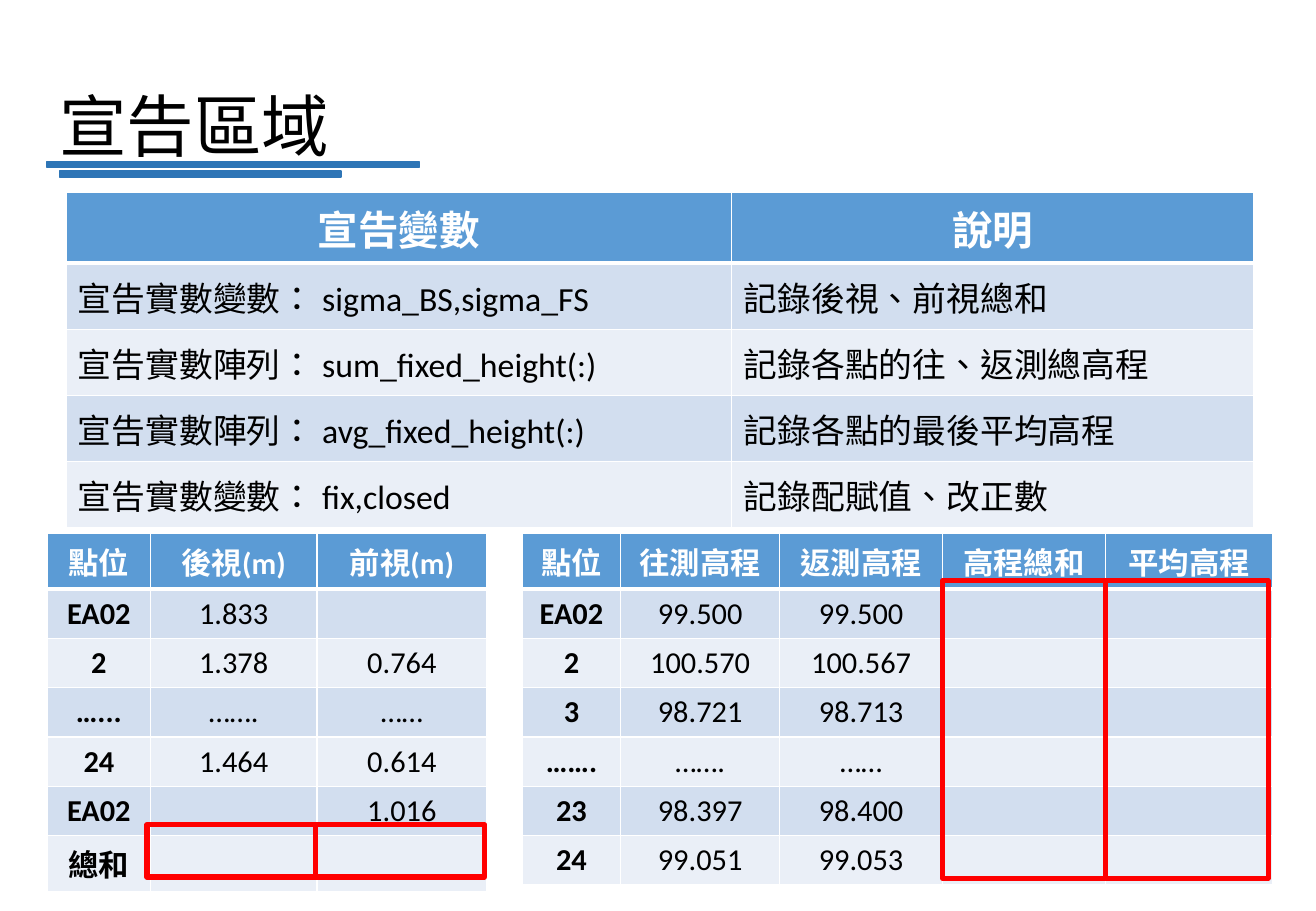
from pptx import Presentation
from pptx.dml.color import RGBColor
from pptx.enum.shapes import MSO_SHAPE
from pptx.enum.text import MSO_ANCHOR, PP_ALIGN
from pptx.oxml import parse_xml
from pptx.oxml.ns import nsdecls
from pptx.util import Pt

RECT = MSO_SHAPE.RECTANGLE
MIDDLE = MSO_ANCHOR.MIDDLE
LEFT, CENTER = PP_ALIGN.LEFT, PP_ALIGN.CENTER
CJK, LATIN = "Noto Sans CJK SC", "Calibri"
HEADER, BANDS = "5B9BD5", ("EAEFF7", "D2DEEF")
BLUE, RED, WHITE, BLACK = "2E75B6", "FF0000", "FFFFFF", "000000"


def rgb(value):
    return RGBColor.from_string(value)


def format_run(r, size, color, bold=False):
    is_cjk = r.text[0] >= "一"
    r.font.size = Pt(size)
    r.font.bold = bold
    r.font.color.rgb = rgb(color)
    r.font.name = CJK if is_cjk else LATIN
    # East Asian font and language
    rPr = r._r.get_or_add_rPr()
    rPr.set("lang", "zh-TW" if is_cjk else "en-US")
    rPr.append(parse_xml(f'<a:ea {nsdecls("a")} typeface="{CJK}"/>'))


prs = Presentation()
prs.slide_width, prs.slide_height = Pt(780), Pt(540)
s = prs.slides.add_slide(prs.slide_layouts[5])

# Title
title = s.shapes.title
title.left, title.top, title.width, title.height = Pt(28), Pt(24.5), Pt(726.5), Pt(104.4)
tf = title.text_frame
tf.text = "宣告區域"
tf.vertical_anchor = MIDDLE
p = tf.paragraphs[0]
p.alignment = LEFT
p.line_spacing = 0.9
format_run(p.runs[0], 40, BLACK)

# Tables: "|" separates Chinese and Latin runs within a cell
variables = [
    ["宣告變數", "說明"],
    ["宣告實數變數： |sigma_BS,sigma_FS", "記錄後視、前視總和"],
    ["宣告實數陣列： |sum_fixed_height(:)", "記錄各點的往、返測總高程"],
    ["宣告實數陣列： |avg_fixed_height(:)", "記錄各點的最後平均高程"],
    ["宣告實數變數： |fix,closed", "記錄配賦值、改正數"],
]
heights = [
    ["點位", "往測高程", "返測高程", "高程總和", "平均高程"],
    ["EA02", "99.500", "99.500", "", ""],
    ["2", "100.570", "100.567", "", ""],
    ["3", "98.721", "98.713", "", ""],
    ["…….", "…….", "……", "", ""],
    ["23", "98.397", "98.400", "", ""],
    ["24", "99.051", "99.053", "", ""],
]
sights = [
    ["點位", "後視|(m)", "前視|(m)"],
    ["EA02", "1.833", ""],
    ["2", "1.378", "0.764"],
    ["…...", "…….", "……"],
    ["24", "1.464", "0.614"],
    ["EA02", "", "1.016"],
    ["總和", "", ""],
]
# rows, left, top, column widths, row height, header size, body size, body alignment, bold first column
tables = [
    (variables, 39, 114, [394.6, 309.6], 39.2, 24, 20, LEFT, False),
    (heights, 309.6, 316, [58.3, 94.3, 96.5, 96.5, 99.4], 29.2, 18, 18, CENTER, True),
    (sights, 28, 316, [61.2, 98.6, 100.8], 29.2, 18, 18, CENTER, True),
]
for rows, left, top, widths, height, head_size, body_size, align, bold_first in tables:
    table = s.shapes.add_table(len(rows), len(widths), Pt(left), Pt(top),
                               Pt(sum(widths)), Pt(height * len(rows))).table
    for column, width in zip(table.columns, widths):
        column.width = Pt(width)
    for i, row in enumerate(rows):
        table.rows[i].height = Pt(height)
        for j, text in enumerate(row):
            cell = table.cell(i, j)
            # White borders, thicker between header and body
            for side in "LRTB":
                thick = (i, side) in ((0, "B"), (1, "T"))
                cell._tc.get_or_add_tcPr().append(parse_xml(
                    f'<a:ln{side} {nsdecls("a")} w="{Pt(3 if thick else 1)}"><a:solidFill>'
                    f'<a:srgbClr val="{WHITE}"/></a:solidFill></a:ln{side}>'))
            cell.fill.solid()
            cell.fill.fore_color.rgb = rgb(BANDS[i % 2] if i else HEADER)
            cell.vertical_anchor = MIDDLE
            p = cell.text_frame.paragraphs[0]
            p.alignment = align if i else CENTER
            for part in text.split("|") if text else []:
                r = p.add_run()
                r.text = part
                format_run(r, body_size if i else head_size, BLACK if i else WHITE,
                           i == 0 or (bold_first and j == 0))

# Bars under the title, then red frames around the cells to be computed
boxes = [
    (28, 95.8, 220.3, 3.6, BLUE, 1),
    (35.3, 101.5, 167, 3.6, BLUE, 1),
    (87.1, 488.9, 100.1, 31, RED, 3),
    (187.2, 488.9, 100.1, 31, RED, 3),
    (558.7, 344.2, 96.5, 176.4, RED, 3),
    (655.2, 344.2, 96.5, 176.4, RED, 3),
]
for left, top, width, height, color, weight in boxes:
    sp = s.shapes.add_shape(RECT, Pt(left), Pt(top), Pt(width), Pt(height))
    sp.shadow.inherit = False
    sp.line.color.rgb = rgb(color)
    sp.line.width = Pt(weight)
    if color == BLUE:
        sp.fill.solid()
        sp.fill.fore_color.rgb = rgb(color)
    else:
        sp.fill.background()

prs.save("out.pptx")
